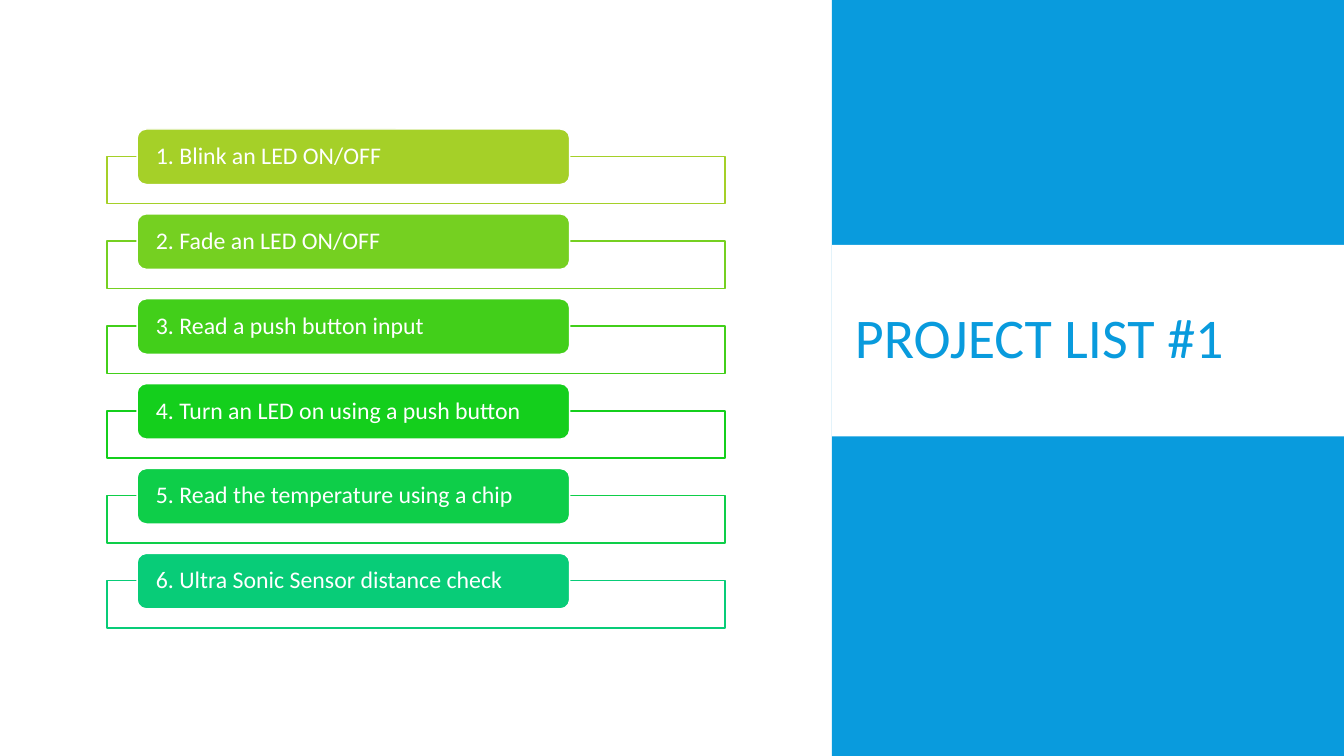
from pptx import Presentation
from pptx.dml.color import RGBColor
from pptx.enum.shapes import MSO_SHAPE
from pptx.enum.text import MSO_ANCHOR, MSO_AUTO_SIZE, PP_ALIGN
from pptx.util import Inches, Pt

RECT = MSO_SHAPE.RECTANGLE
ROUND = MSO_SHAPE.ROUNDED_RECTANGLE
MIDDLE = MSO_ANCHOR.MIDDLE
LEFT = PP_ALIGN.LEFT
NO_FIT = MSO_AUTO_SIZE.NONE

COLORS = {"white": "FFFFFF", "blue": "099BDD"}
ITEMS = {
    "1. Blink an LED ON/OFF": "A5D028",
    "2. Fade an LED ON/OFF": "75D021",
    "3. Read a push button input": "42CF1A",
    "4. Turn an LED on using a push button": "14CF1C",
    "5. Read the temperature using a chip": "0ECE49",
    "6. Ultra Sonic Sensor distance check": "08CC78",
}

WIDTH, HEIGHT = 13.33, 7.5
SIDE = 8.25
TOP, LAST = 1.28, 5.49
STEP = (LAST - TOP) / (len(ITEMS) - 1)

deck = Presentation()
deck.slide_width = Inches(WIDTH)
deck.slide_height = Inches(HEIGHT)
slide = deck.slides.add_slide(deck.slide_layouts[5])


def add_box(kind, place, fill, edge=None):
    box = slide.shapes.add_shape(kind, *map(Inches, place))
    box.shadow.inherit = False
    box.fill.solid()
    box.fill.fore_color.rgb = RGBColor.from_string(fill)
    if edge:
        box.line.color.rgb = RGBColor.from_string(edge)
        box.line.width = Pt(1)
    else:
        box.line.fill.background()
    return box


def set_text(shape, text, size, color, space, frame):
    body = shape.text_frame
    body.text = text
    for name, value in frame.items():
        setattr(body, name, value)
    para = body.paragraphs[0]
    para.alignment = LEFT
    para.line_spacing = space
    form = {"name": "Calibri", "size": Pt(size), "bold": False}
    for name, value in form.items():
        setattr(para.font, name, value)
    para.font.color.rgb = RGBColor.from_string(color)


add_box(RECT, (SIDE, 0, WIDTH - SIDE, HEIGHT), COLORS["blue"])
add_box(RECT, (SIDE, 2.43, WIDTH - SIDE, 1.9), COLORS["white"])

title = slide.shapes.title
place = {"left": 8.38, "top": 2.56, "width": 4.52, "height": 1.65}
for name, value in place.items():
    setattr(title, name, Inches(value))
frame = {"vertical_anchor": MIDDLE, "word_wrap": True, "auto_size": NO_FIT}
set_text(title, "PROJECT LIST #1", 40, COLORS["blue"], 0.85, frame)
title.element.getparent().append(title.element)

inset = {
    "margin_left": Inches(0.16),
    "margin_right": Inches(0.16),
    "margin_top": 0,
    "margin_bottom": 0,
}
for row, (text, color) in enumerate(ITEMS.items()):
    top = TOP + row * STEP
    add_box(RECT, (1.06, top + 0.27, 6.13, 0.47), COLORS["white"], color)
    label = add_box(ROUND, (1.36, top, 4.29, 0.55), color, COLORS["white"])
    set_text(label, text, 17, COLORS["white"], 0.9, {**frame, **inset})

deck.save("out.pptx")
